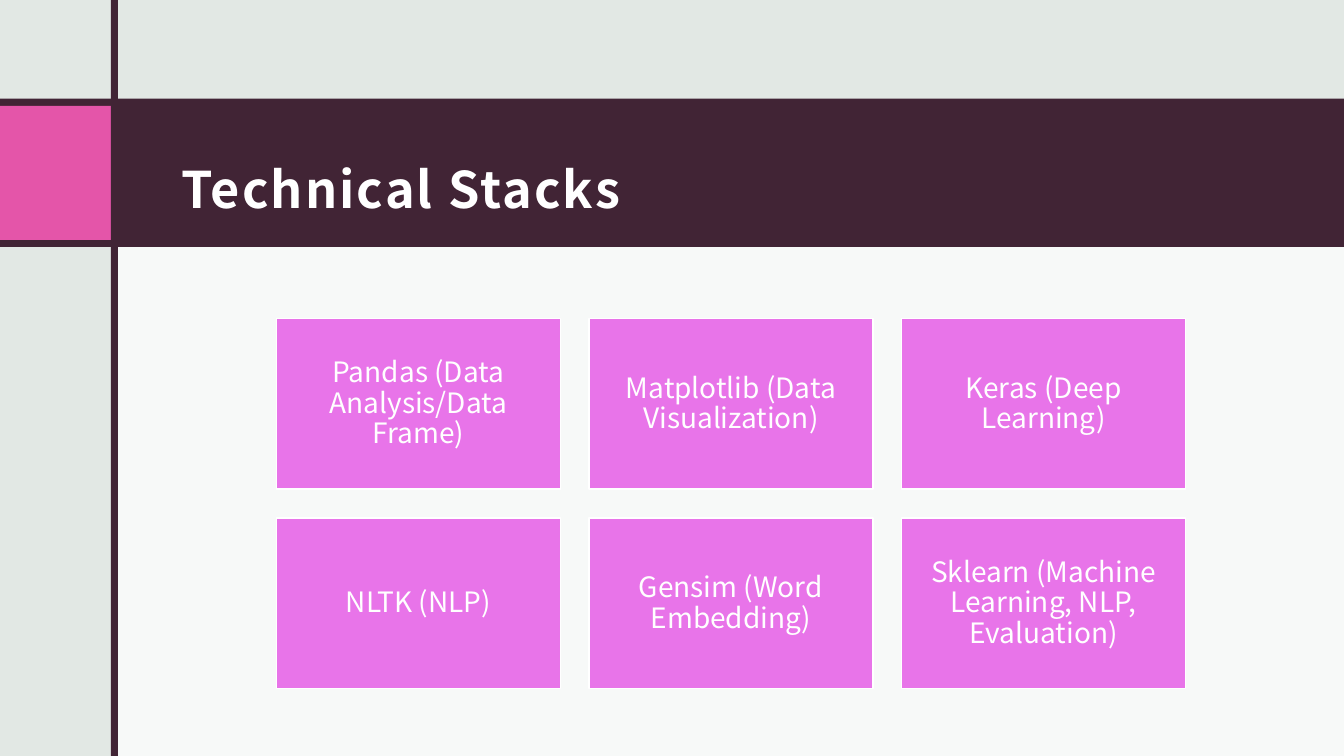
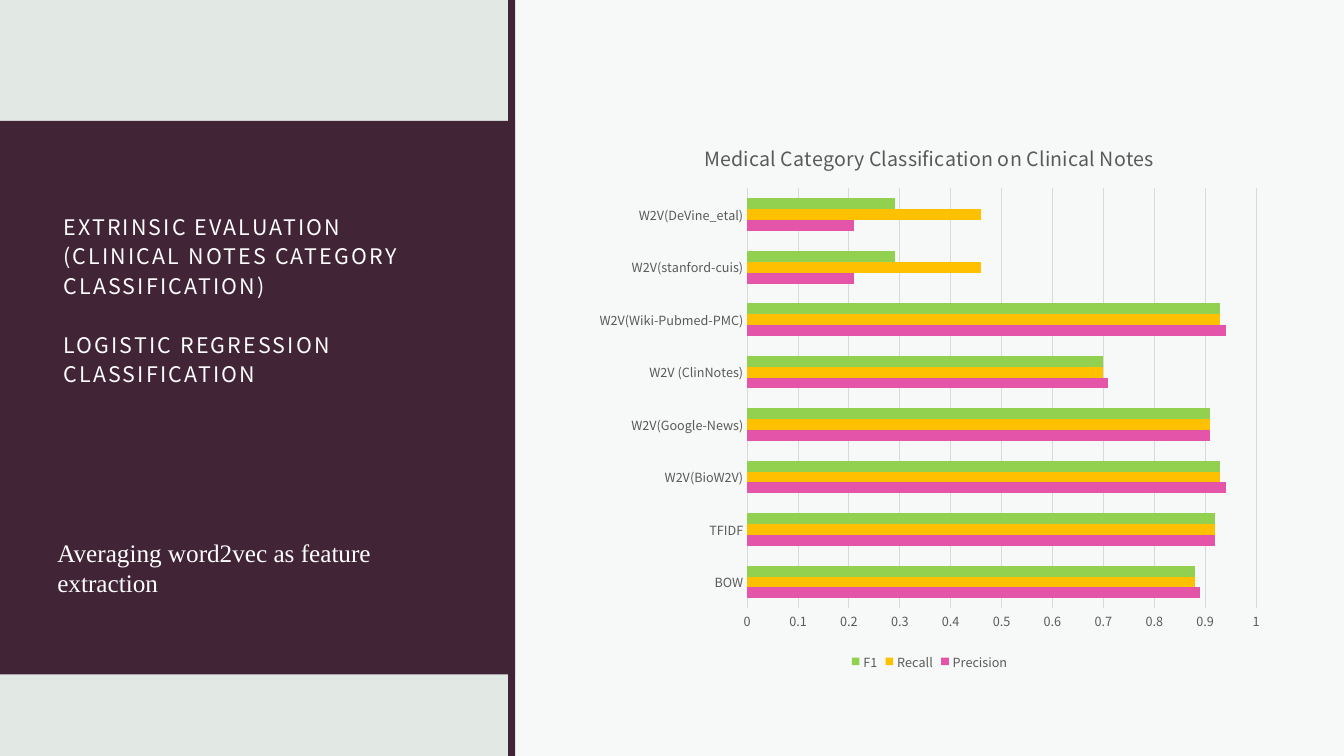
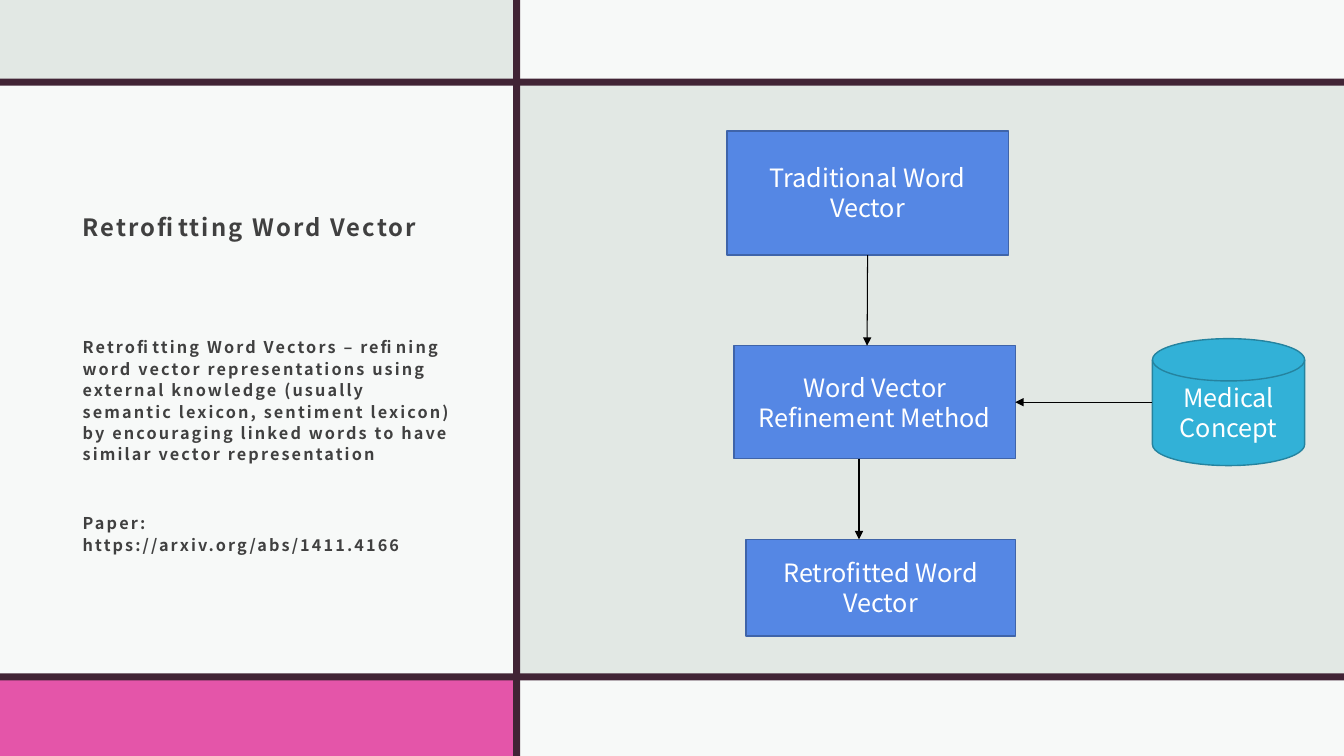
from lxml.etree import SubElement
from pptx import Presentation
from pptx.chart.data import CategoryChartData
from pptx.dml.color import RGBColor
from pptx.enum.chart import XL_CHART_TYPE, XL_LEGEND_POSITION, XL_TICK_MARK
from pptx.enum.shapes import MSO_CONNECTOR, MSO_SHAPE
from pptx.enum.text import MSO_ANCHOR, PP_ALIGN
from pptx.oxml.ns import qn
from pptx.util import Inches, Pt

# Shared style
SANS = "Noto Sans CJK JP"
PLUM, PINK, MIST, WHITE = "412435", "E455A9", "E2E8E4", "FFFFFF"
DARK, GREY, GRID = "404040", "595959", "D9D9D9"
VEIL_OPACITY = 75000
BAR = 0.07
HEADING = dict(insets=(0.12, 0.12, 0.12, 0.1), tracking=150)
CENTRED = dict(align=PP_ALIGN.CENTER, anchor=MSO_ANCHOR.MIDDLE)


def paint(target, color):
    """Colour a fill or a font."""
    if hasattr(target, "solid"):
        target.solid()
        target = target.fore_color
    else:
        target = target.color
    target.rgb = RGBColor.from_string(color)


def write(shape, text, size=18, color=WHITE, font=SANS, bold=False, tracking=0,
          align=PP_ALIGN.LEFT, anchor=MSO_ANCHOR.TOP,
          insets=(0.1, 0.05, 0.1, 0.05), leading=None, gaps=()):
    """Write one paragraph per line of text; gaps maps line to space before."""
    frame = shape.text_frame
    frame.word_wrap = True
    frame.vertical_anchor = anchor
    (frame.margin_left, frame.margin_top,
     frame.margin_right, frame.margin_bottom) = map(Inches, insets)
    for index, line in enumerate(text.split("\n")):
        paragraph = frame.add_paragraph() if index else frame.paragraphs[0]
        paragraph.alignment = align
        if leading:
            paragraph.line_spacing = leading
        if index in gaps:
            paragraph.space_before = Pt(gaps[index])
        run = paragraph.add_run()
        run.text = line
        run.font.name, run.font.size, run.font.bold = font, Pt(size), bold
        paint(run.font, color)
        properties = run.font._element
        if tracking:
            properties.set("spc", str(tracking))
        SubElement(properties, qn("a:ea")).set("typeface", font)


prs = Presentation()
prs.slide_width, prs.slide_height = Inches(13.33), Inches(7.5)
paint(prs.slide_master.background.fill, MIST)

# Background panels of each slide, back to front; white ones are translucent
panels = [
    [(1.14, 2.33, 12.19, 5.17, WHITE), (0, 0.98, 13.33, 1.47, PLUM),
     (0, 1.05, 1.1, 1.33, PINK), (1.1, 0, BAR, 7.5, PLUM)],
    [(0, 1.2, 5.11, 5.49, PLUM), (5.11, 0, 8.22, 7.5, WHITE),
     (5.04, 0, BAR, 7.5, PLUM)],
    [(0, 0.83, 5.09, 5.89, WHITE), (5.12, 0, 8.21, 0.84, WHITE),
     (0, 6.72, 5.09, 0.78, PINK), (5.16, 6.74, 8.17, 0.76, WHITE),
     (0, 6.68, 13.33, BAR, PLUM), (5.09, 0, BAR, 7.5, PLUM),
     (0, 0.78, 13.33, BAR, PLUM)],
]
slides = []
for slide_panels in panels:
    slide = prs.slides.add_slide(prs.slide_layouts[6])
    slides.append(slide)
    for *place, color in slide_panels:
        panel = slide.shapes.add_shape(MSO_SHAPE.RECTANGLE, *map(Inches, place))
        panel.shadow.inherit = False
        panel.line.fill.background()
        paint(panel.fill, color)
        if color == WHITE:
            tint = panel._element.spPr.find(qn("a:solidFill"))[0]
            SubElement(tint, qn("a:alpha")).set("val", str(VEIL_OPACITY))
stacks, evaluation, retrofitting = slides

# Titles and side texts
texts = [
    (stacks, (1.68, 1.14, 10.95, 1.13), "Technical Stacks",
     dict(HEADING, size=36, bold=True, anchor=MSO_ANCHOR.MIDDLE, leading=1.5)),
    (evaluation, (0.51, 1.87, 3.9, 2.07),
     "EXTRINSIC EVALUATION\n(CLINICAL NOTES CATEGORY CLASSIFICATION)\n"
     "LOGISTIC REGRESSION CLASSIFICATION",
     dict(HEADING, size=15.3, anchor=MSO_ANCHOR.BOTTOM, leading=Pt(21.1),
          gaps={2: 21.1})),
    (evaluation, (0.47, 5.28, 3.79, 0.71),
     "Averaging word2vec as feature extraction", dict(font="Times New Roman")),
    (retrofitting, (0.7, 1.17, 3.95, 2.04), "Retrofitting Word Vector",
     dict(HEADING, size=17, color=DARK, bold=True, anchor=MSO_ANCHOR.MIDDLE,
          leading=1.4)),
    (retrofitting, (0.7, 3.21, 3.95, 3.11),
     "Retrofitting Word Vectors – refining word vector representations using "
     "external knowledge (usually semantic lexicon, sentiment lexicon) by "
     "encouraging linked words to have similar vector representation\n"
     "Paper: https://arxiv.org/abs/1411.4166",
     dict(HEADING, size=11.6, color=DARK, bold=True, leading=Pt(15.3),
          gaps={1: 34})),
]
for slide, place, text, style in texts:
    write(slide.shapes.add_textbox(*map(Inches, place)), text, **style)

# Boxes: the library grid, then the retrofitting flow
libraries = ["Pandas (Data Analysis/Data Frame)", "Matplotlib (Data Visualization)",
             "Keras (Deep Learning)", "NLTK (NLP)", "Gensim (Word Embedding)",
             "Sklearn (Machine Learning, NLP, Evaluation)"]
library_style = dict(CENTRED, size=20, leading=Pt(21.8), insets=(0.08,) * 4)
step_style = dict(CENTRED, leading=Pt(21.4))
step_colors = ("5587E4", "3F64A9")
boxes = [
    (stacks, MSO_SHAPE.RECTANGLE,
     (2.74 + index % 3 * 3.1, 3.16 + index // 3 * 1.98, 2.82, 1.69),
     library, ("E874E9", WHITE), library_style)
    for index, library in enumerate(libraries)
] + [
    (retrofitting, MSO_SHAPE.RECTANGLE, place, step, step_colors, step_style)
    for place, step in [
        ((7.21, 1.3, 2.79, 1.23), "Traditional Word Vector"),
        ((7.28, 3.43, 2.79, 1.12), "Word Vector Refinement Method"),
        ((7.4, 5.35, 2.67, 0.96), "Retrofitted Word Vector")]
] + [
    (retrofitting, MSO_SHAPE.FLOWCHART_MAGNETIC_DISK, (11.43, 3.36, 1.51, 1.26),
     "Medical Concept", ("32B1D7", "25839F"), step_style)
]
placed = {}
for slide, outline, place, text, (fill, edge), style in boxes:
    box = slide.shapes.add_shape(outline, *map(Inches, place))
    box.shadow.inherit = False
    paint(box.fill, fill)
    paint(box.line.fill, edge)
    box.line.width = Pt(1)
    write(box, text, **style)
    placed[text] = box

# Arrows of the flow
arrows = []
for ends in [(8.6, 2.53, 8.6, 3.43), (8.52, 4.55, 8.52, 5.35),
             (11.43, 3.99, 10.07, 3.99)]:
    arrow = retrofitting.shapes.add_connector(MSO_CONNECTOR.STRAIGHT,
                                              *map(Inches, ends))
    paint(arrow.line.fill, "000000")
    arrow.line.width = Pt(0.75)
    SubElement(arrow.line._get_or_add_ln(), qn("a:tailEnd")).set("type", "triangle")
    SubElement(arrow._element.spPr, qn("a:effectLst"))
    arrows.append(arrow)
arrows[0].begin_connect(placed["Traditional Word Vector"], 2)
arrows[2].end_connect(placed["Word Vector Refinement Method"], 3)

# Classification scores
scores = CategoryChartData()
scores.categories = ["BOW", "TFIDF", "W2V(BioW2V)", "W2V(Google-News)",
                     "W2V (ClinNotes)", "W2V(Wiki-Pubmed-PMC)",
                     "W2V(stanford-cuis)", "W2V(DeVine_etal)"]
measures = [
    ("Precision", PINK, (0.89, 0.92, 0.94, 0.91, 0.71, 0.94, 0.21, 0.21)),
    ("Recall", "FFC000", (0.88, 0.92, 0.93, 0.91, 0.7, 0.93, 0.46, 0.46)),
    ("F1", "92D050", (0.88, 0.92, 0.93, 0.91, 0.7, 0.93, 0.29, 0.29)),
]
for measure, _, values in measures:
    scores.add_series(measure, values)
chart = evaluation.shapes.add_chart(
    XL_CHART_TYPE.BAR_CLUSTERED, Inches(5.81), Inches(1.2), Inches(6.82),
    Inches(5.49), scores).chart
chart.font.name, chart.font.size = SANS, Pt(9)
paint(chart.font, GREY)

chart.has_title = True
chart.chart_title.include_in_layout = False
heading = chart.chart_title.text_frame.paragraphs[0].add_run()
heading.text = "Medical Category Classification on Clinical Notes"
heading.font.name, heading.font.size, heading.font.bold = SANS, Pt(14), False
paint(heading.font, GREY)

chart.has_legend = True
chart.legend.position = XL_LEGEND_POSITION.BOTTOM
chart.legend.include_in_layout = False

plot = chart.plots[0]
plot.gap_width, plot.overlap, plot.vary_by_categories = 182, 0, False
for series, (_, color, _) in zip(plot.series, measures):
    paint(series.format.fill, color)

methods, scale = chart.category_axis, chart.value_axis
methods.major_tick_mark = scale.major_tick_mark = XL_TICK_MARK.NONE
scale.minimum_scale, scale.maximum_scale, scale.major_unit = 0, 1, 0.1
scale.tick_labels.number_format = "General"
scale.tick_labels.number_format_is_linked = False
scale.format.line.fill.background()
for line in (methods.format.line, scale.major_gridlines.format.line):
    paint(line.fill, GRID)
    line.width = Pt(0.75)

prs.save("out.pptx")
